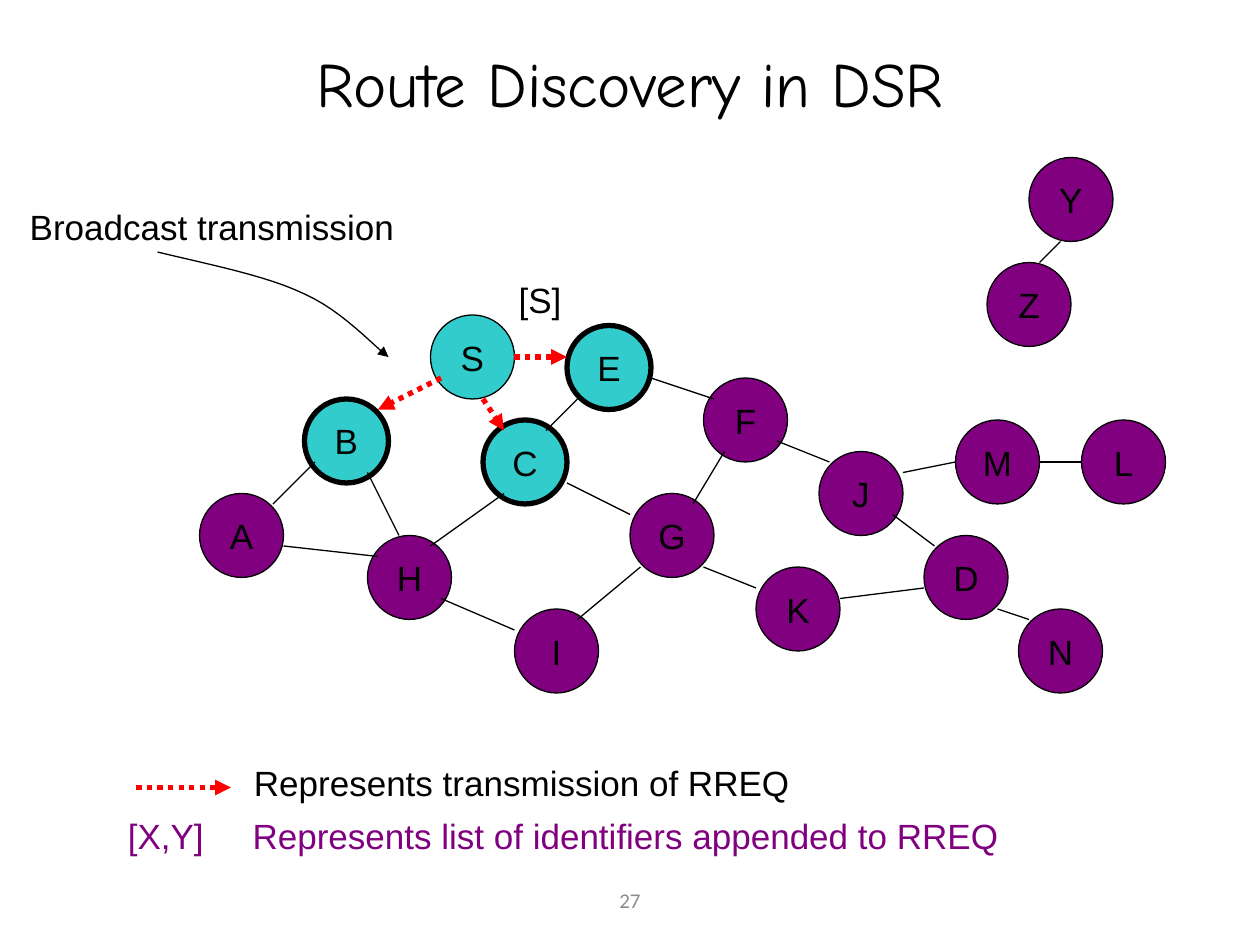
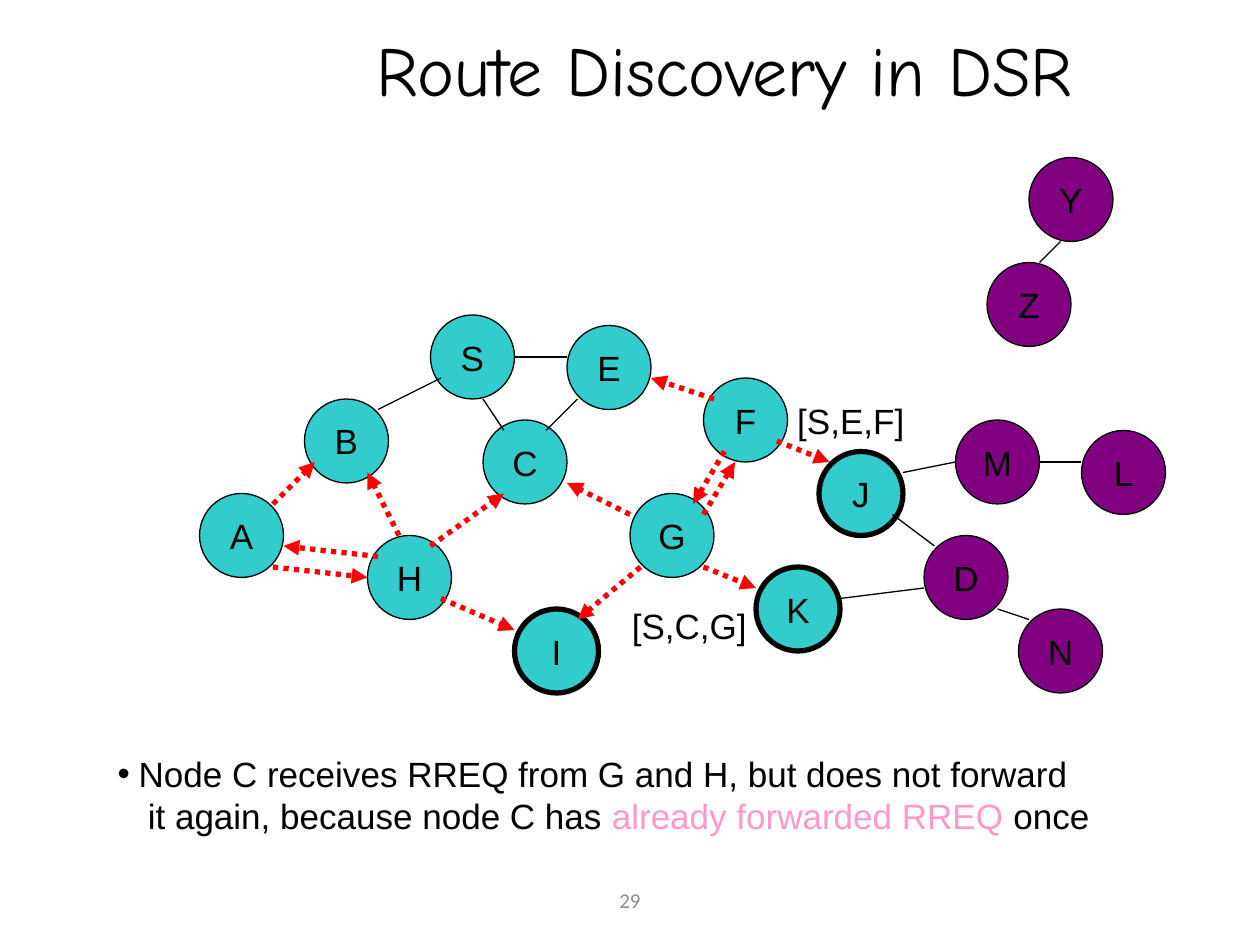
from pptx import Presentation
from pptx import util as u
from pptx.dml.color import RGBColor
from pptx.enum import dml, shapes, text
from pptx.oxml.ns import qn
from lxml import etree

# Shared look: 96 px to the inch, network drawn on an 8 px grid
PX = 9525
CELL = 8
SIDE = 8 * CELL
HUES = {"ink": "000000", "reached": "33CCCC", "idle": "800080",
        "send": "FF0000", "pink": "FF99CC", "gray": "8C8C8C"}
MID = text.MSO_ANCHOR.MIDDLE
TOP = text.MSO_ANCHOR.TOP
LEFT = text.PP_ALIGN.LEFT
MIDDLE = text.PP_ALIGN.CENTER

# Network: left and top of each node, ends of each link, in cells
NODES = {
    "B": (29, 38), "A": (19, 47), "S": (41, 30), "E": (54, 31), "F": (67, 36),
    "H": (35, 51), "J": (78, 43), "D": (88, 51), "C": (46, 40), "G": (60, 47),
    "I": (49, 58), "K": (72, 54), "Z": (94, 25), "Y": (98, 15), "M": (91, 40),
    "N": (97, 58), "L": (103, 40),
}
LINKS = {
    "AB": (26, 48, 30, 44), "BS": (36, 39, 42, 36), "AH": (27, 52, 36, 53),
    "BH": (35, 45, 38, 51), "CH": (48, 47, 41, 52), "EC": (55, 38, 52, 41),
    "EF": (62, 36, 68, 38), "FG": (69, 43, 66, 48), "GI": (61, 54, 55, 59),
    "CG": (54, 46, 60, 49), "HI": (42, 57, 49, 60), "FJ": (74, 42, 79, 44),
    "GK": (67, 54, 72, 56), "JD": (85, 49, 89, 52), "DK": (88, 56, 80, 57),
    "ES": (54, 34, 49, 34), "SC": (46, 38, 48, 41), "YZ": (101, 23, 99, 25),
    "JM": (86, 45, 91, 44), "DN": (95, 58, 98, 59), "ML": (99, 44, 103, 44),
}

# Slides: "sends" names sender then receiver; "back" adds return links;
# labels are (text, box in px, alignment, colour)
SLIDES = [
    {"title": ("Route Discovery in DSR", (48, 29, 864, 120), 36, TOP),
     "page": "27",
     "reached": "SBEC", "new": "BEC", "moved": {},
     "sends": ["SB", "SE", "SC"],
     "back": [], "key": (104, 600, 176, 600),
     "curve": [(120, 192), (161, 202), (203, 210), (232, 224),
               (261, 237), (284, 263), (296, 272)],
     "labels": [
         ("Represents transmission of RREQ", (184, 576, 455, 41), LEFT, "ink"),
         ("Broadcast transmission", (0, 152, 323, 41), MIDDLE, "ink"),
         ("[S]", (384, 208, 55, 41), MIDDLE, "ink"),
         ("[X,Y]\tRepresents list of identifiers appended to RREQ",
          (88, 616, 725, 41), LEFT, "idle")],
     "list": []},
    {"title": ("Route Discovery in DSR", (209, -8, 686, 120), 40, MID),
     "page": "29",
     "reached": "BASEFHJCGIK", "new": "JIK", "moved": {"L": (103, 41)},
     "sends": ["AB", "HA", "HB", "HC", "FE", "FG", "GI", "GC", "HI", "FJ", "GK"],
     "back": [(26, 54, 35, 55), (67, 49, 70, 44)], "key": None,
     "curve": [],
     "labels": [
         ("[S,C,G]", (472, 456, 109, 41), LEFT, "ink"),
         ("[S,E,F]", (598, 300, 104, 41), LEFT, "ink")],
     "list": [
         [("Node C receives RREQ from G and H, but does not forward", "ink")],
         [("it again, because node C has ", "ink"),
          ("already forwarded RREQ", "pink"), (" once", "ink")]]},
]
LIST = (80, 568, 798, 74)
PAGE = (328, 667, 304, 38)
TAB = 95
INDENT = [(16, -16, "•"), (23, 0, None)]


def rgb(hue):
    return RGBColor.from_string(HUES[hue])


def emu(*nums):
    return [u.Emu(round(n * PX)) for n in nums]


def place(shape, box):
    shape.left, shape.top, shape.width, shape.height = emu(*box)


def style(font, size, hue, face="Arial"):
    font.size, font.name = u.Pt(size), face
    font.color.rgb = rgb(hue)


def write(shape, words, size, hue, face="Arial", align=MIDDLE, anchor=MID, wrap=True):
    frame = shape.text_frame
    frame.text = words
    frame.word_wrap, frame.vertical_anchor = wrap, anchor
    frame.auto_size = text.MSO_AUTO_SIZE.NONE
    para = frame.paragraphs[0]
    para.alignment = align
    style(para.runs[0].font, size, hue, face)
    return para


def tip(shape):
    line = shape.element.spPr.find(qn("a:ln"))
    etree.SubElement(line, qn("a:tailEnd"), type="triangle")


def link(slide, ends, hot):
    """Thin black line, or dotted red arrow when hot; ends in px."""
    wire = slide.shapes.add_connector(shapes.MSO_CONNECTOR.STRAIGHT, *emu(*ends))
    wire.line.width = u.Pt(3 if hot else 0.75)
    wire.line.color.rgb = rgb("send" if hot else "ink")
    if hot:
        wire.line.dash_style = dml.MSO_LINE.ROUND_DOT
        tip(wire)
    etree.SubElement(wire.element.spPr, qn("a:effectLst"))


def cells(ends):
    return [n * CELL for n in ends]


def network(slide, data):
    # Nodes
    for name, spot in {**NODES, **data["moved"]}.items():
        node = slide.shapes.add_shape(shapes.MSO_SHAPE.OVAL,
                                      *emu(*cells(spot), SIDE, SIDE))
        node.shadow.inherit = False
        node.fill.solid()
        node.fill.fore_color.rgb = rgb("reached" if name in data["reached"] else "idle")
        node.line.color.rgb = rgb("ink")
        node.line.width = u.Pt(3 if name in data["new"] else 0.75)
        write(node, name, 20, "ink", wrap=False)
    # Links, turned round when the far end sends
    for name, ends in LINKS.items():
        back = name[::-1] in data["sends"]
        if back:
            ends = ends[2:] + ends[:2]
        link(slide, cells(ends), back or name in data["sends"])
    for ends in data["back"]:
        link(slide, cells(ends), True)


def bezier(a, b, c, d, steps=12):
    for i in range(1, steps + 1):
        t = i / steps
        s = 1 - t
        yield tuple(s**3 * p + 3 * s * s * t * q + 3 * s * t * t * r + t**3 * w
                    for p, q, r, w in zip(a, b, c, d))


def curve(slide, pts):
    pen = slide.shapes.build_freeform(*emu(*pts[0]))
    spots = [spot for i in range(0, len(pts) - 1, 3) for spot in bezier(*pts[i:i + 4])]
    pen.add_line_segments([emu(*spot) for spot in spots], close=False)
    arc = pen.convert_to_shape()
    arc.shadow.inherit = False
    arc.fill.background()
    arc.line.color.rgb = rgb("ink")
    arc.line.width = u.Pt(0.75)
    tip(arc)


def label(slide, words, box, align, hue, size=20, face="Arial"):
    item = slide.shapes.add_textbox(*emu(*box))
    para = write(item, words, size, hue, face, align)
    if "\t" in words:
        tabs = etree.SubElement(para._p.get_or_add_pPr(), qn("a:tabLst"))
        etree.SubElement(tabs, qn("a:tab"), pos=str(TAB * PX), algn="l")


def bullets(body, rows):
    place(body, LIST)
    frame = body.text_frame
    frame.word_wrap, frame.vertical_anchor = True, MID
    frame.auto_size = text.MSO_AUTO_SIZE.NONE
    for i, (row, (left, first, mark)) in enumerate(zip(rows, INDENT)):
        para = frame.add_paragraph() if i else frame.paragraphs[0]
        para.space_before = u.Pt(0)
        props = para._p.get_or_add_pPr()
        props.set("marL", str(left * PX))
        props.set("indent", str(first * PX))
        if mark:
            etree.SubElement(props, qn("a:buChar"), char=mark)
        else:
            etree.SubElement(props, qn("a:buNone"))
        for words, hue in row:
            run = para.add_run()
            run.text = words
            style(run.font, 20, hue)


def main():
    deck = Presentation()
    deck.slide_width, deck.slide_height = emu(960, 720)
    for data in SLIDES:
        # Layout 1 has a title and a body, layout 5 only a title
        slide = deck.slides.add_slide(deck.slide_layouts[1 if data["list"] else 5])
        words, box, size, anchor = data["title"]
        place(slide.shapes.title, box)
        write(slide.shapes.title, words, size, "ink", "Comic Neue", anchor=anchor)
        network(slide, data)
        # Key, callout and labels
        if data["key"]:
            link(slide, data["key"], True)
        if data["curve"]:
            curve(slide, data["curve"])
        for item in data["labels"]:
            label(slide, *item)
        if data["list"]:
            bullets(slide.placeholders[1], data["list"])
        label(slide, data["page"], PAGE, MIDDLE, "gray", 12, "Calibri")
    deck.save("out.pptx")


if __name__ == "__main__":
    main()
